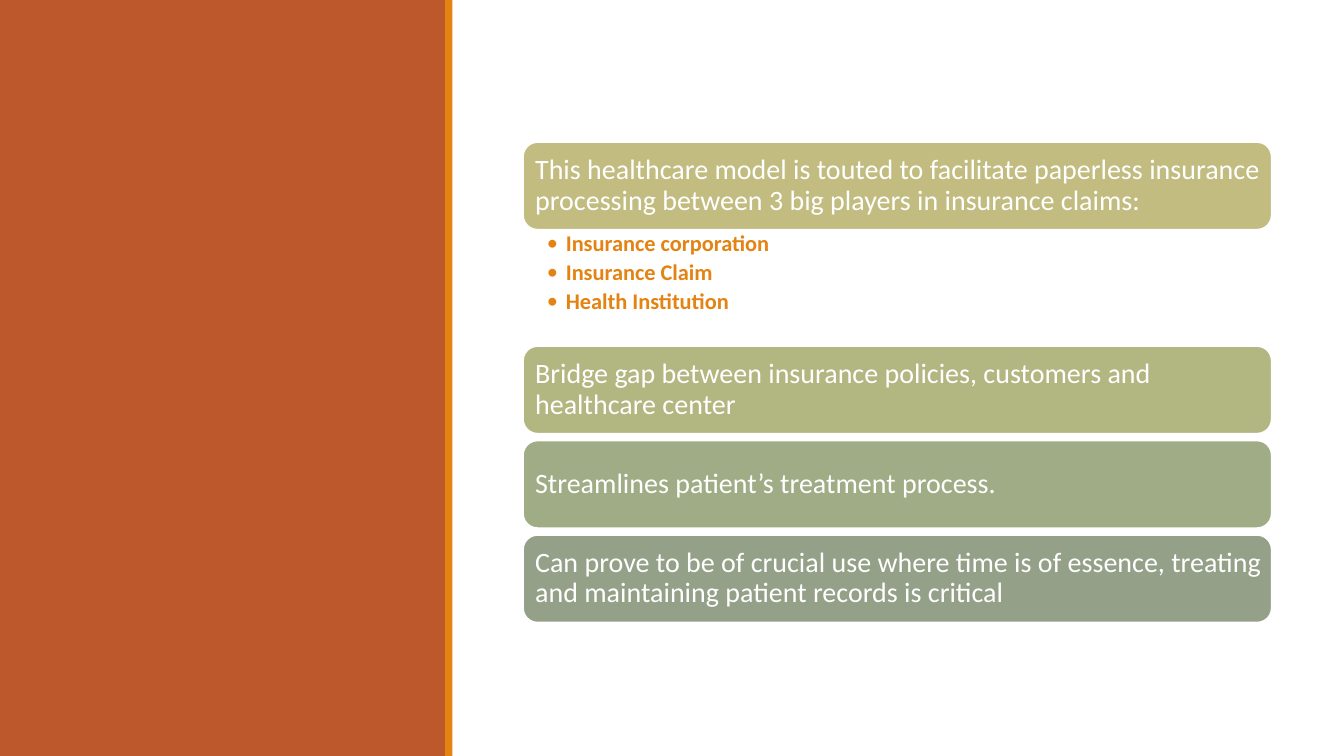
from lxml import etree
from pptx import Presentation
from pptx import util as u
from pptx.dml.color import RGBColor
from pptx.enum import shapes, text
from pptx.oxml.ns import qn

RUST, ORANGE, WHITE = "BD582C", "E48312", "FFFFFF"
CARD_HEIGHT, CARD_PITCH, PLAYERS_HEIGHT = 2.21, 2.38, 2.93
PLAYERS = ["Insurance corporation", "Insurance Claim", "Health Institution"]
BENEFITS = [
    ("This healthcare model is touted to facilitate paperless insurance "
     "processing between 3 big players in insurance claims:", "C2BC80"),
    ("Bridge gap between insurance policies, customers and healthcare center", "B2B782"),
    ("Streamlines patient’s treatment process.", "A0AC85"),
    ("Can prove to be of crucial use where time is of essence, treating and "
     "maintaining patient records is critical", "94A088"),
]


def color(hex_code):
    """Turn a hex string into a colour."""
    return RGBColor.from_string(hex_code)


def add_panel(slide, kind, box, fill, line=None):
    """Draw a flat filled shape in a box given in centimetres."""
    panel = slide.shapes.add_shape(kind, *map(u.Cm, box))
    panel.shadow.inherit = False
    panel.fill.solid()
    panel.fill.fore_color.rgb = color(fill)
    if line:
        panel.line.color.rgb = color(line)
        panel.line.width = u.Pt(1.25)
    else:
        panel.line.fill.background()
    return panel


def write(holder, lines, size, ink, bold=False, bullet=False, gap=0,
          anchor=text.MSO_ANCHOR.TOP, insets=(0, 0, 0, 0)):
    """Fill a shape with formatted paragraphs."""
    frame = holder.text_frame
    frame.word_wrap = True
    frame.vertical_anchor = anchor
    (frame.margin_left, frame.margin_top,
     frame.margin_right, frame.margin_bottom) = map(u.Cm, insets)
    for index, line in enumerate(lines):
        paragraph = frame.paragraphs[0] if index == 0 else frame.add_paragraph()
        paragraph.alignment = text.PP_ALIGN.LEFT
        paragraph.line_spacing = 0.9
        paragraph.space_after = u.Pt(gap)
        run = paragraph.add_run()
        run.text = line
        run.font.name = "Calibri"
        run.font.size = u.Pt(size)
        run.font.bold = bold
        run.font.color.rgb = color(ink)
        if bullet:
            properties = paragraph._p.get_or_add_pPr()
            properties.set("marL", str(u.Cm(0.48)))
            properties.set("indent", str(u.Cm(-0.48)))
            etree.SubElement(properties, qn("a:buFont")).set("typeface", "Calibri")
            etree.SubElement(properties, qn("a:buChar")).set("char", "•")


def add_sidebar(slide, left, top, width, height):
    """Draw the side panel with its accent stripe."""
    stripe = 0.18
    add_panel(slide, shapes.MSO_SHAPE.RECTANGLE, (left, top, width - stripe, height), RUST)
    add_panel(slide, shapes.MSO_SHAPE.RECTANGLE,
              (left + width - stripe, top, stripe, height), ORANGE)


def add_benefits(slide, left, top, width):
    """Stack the benefit cards, with the players listed under the first."""
    for index, (benefit, fill) in enumerate(BENEFITS):
        card = add_panel(slide, shapes.MSO_SHAPE.ROUNDED_RECTANGLE,
                         (left, top, width, CARD_HEIGHT), fill, line=WHITE)
        write(card, [benefit], 20, WHITE, anchor=text.MSO_ANCHOR.MIDDLE,
              insets=(0.2, 0.2, 0.15, 0.2))
        if index == 0:
            players = slide.shapes.add_textbox(
                *map(u.Cm, (left, top + CARD_HEIGHT, width, PLAYERS_HEIGHT)))
            write(players, PLAYERS, 16, ORANGE, bold=True, bullet=True, gap=3.2,
                  insets=(0.6, 0.07, 0.4, 0.07))
            top += CARD_HEIGHT + PLAYERS_HEIGHT
        else:
            top += CARD_PITCH


def main():
    """Build and save the slide."""
    deck = Presentation()
    deck.slide_width, deck.slide_height = u.Cm(33.87), u.Cm(19.05)
    slide = deck.slides.add_slide(deck.slide_layouts[6])
    add_sidebar(slide, 0, 0, 11.4, 19.05)
    add_benefits(slide, 13.18, 3.58, 18.87)
    deck.save("out.pptx")


if __name__ == "__main__":
    main()
